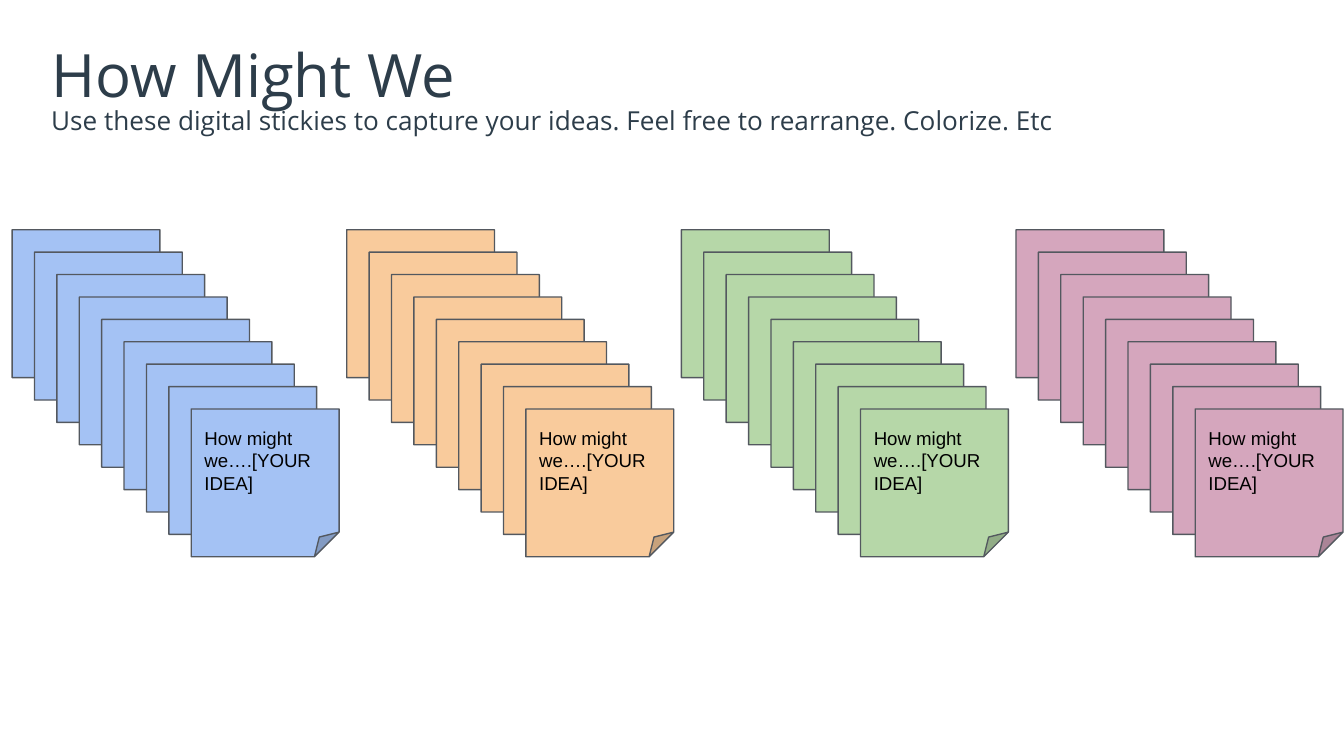
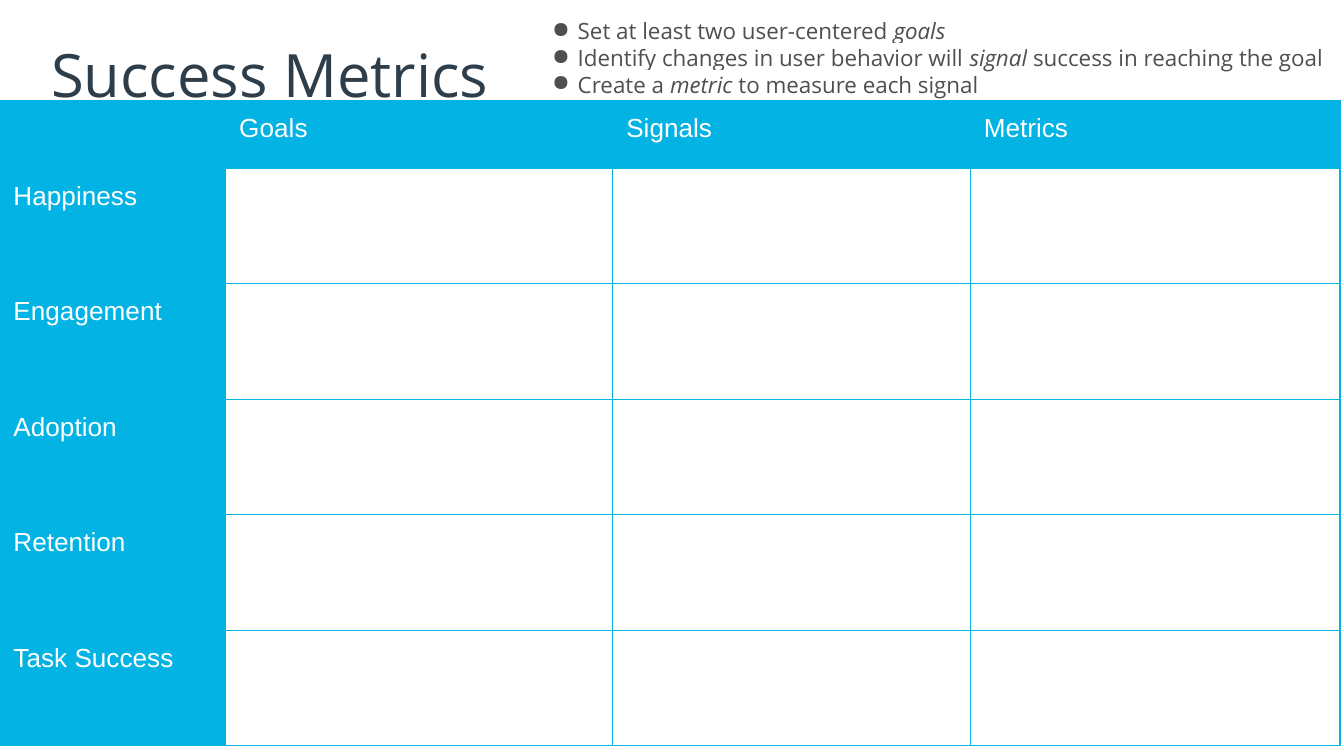
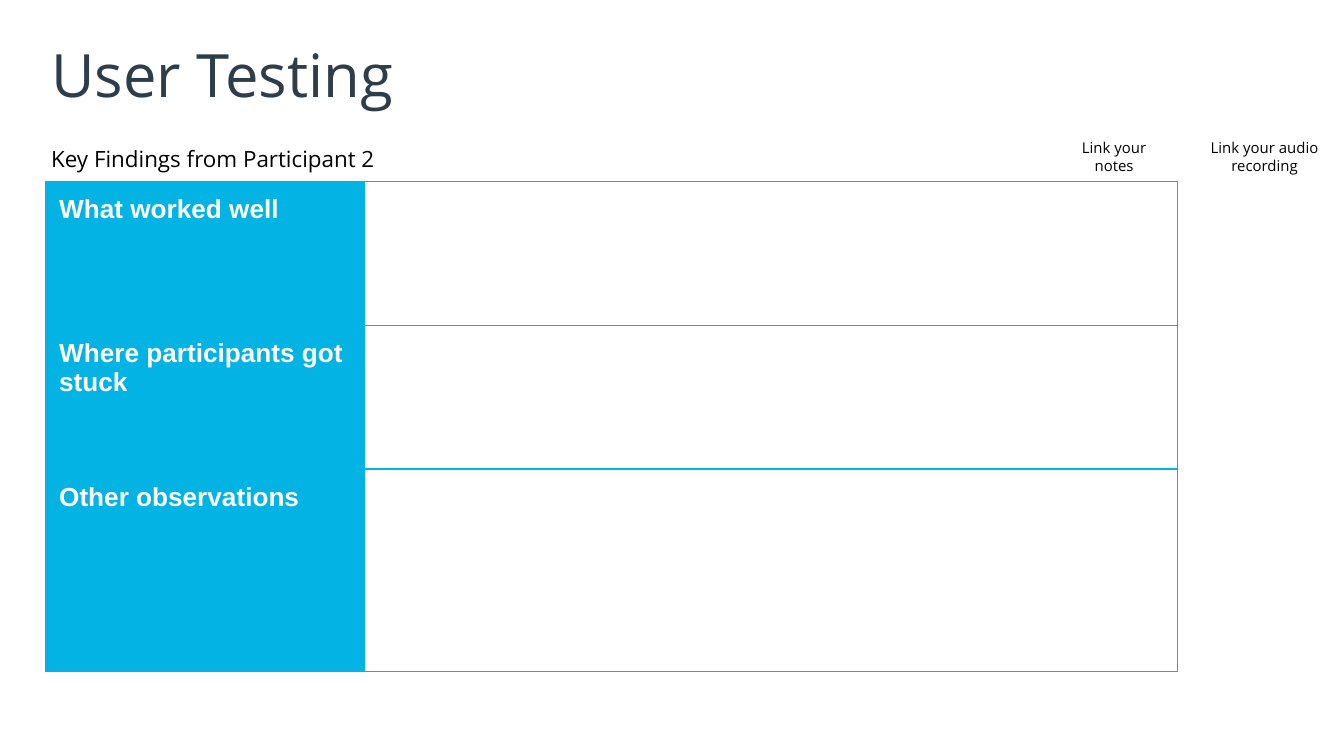
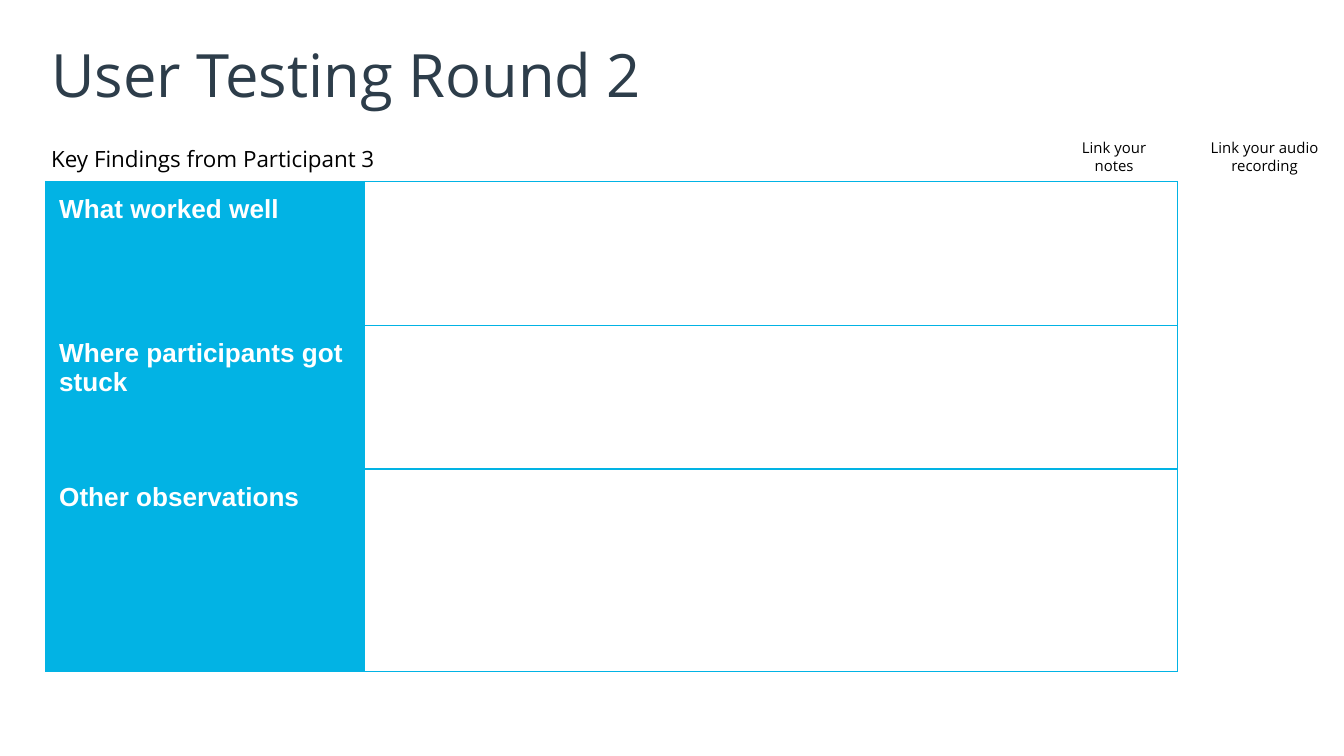
from dataclasses import dataclass

from lxml import etree
from pptx import Presentation
from pptx.dml.color import RGBColor
from pptx.enum.shapes import MSO_SHAPE
from pptx.enum.text import MSO_ANCHOR, PP_ALIGN
from pptx.oxml.ns import qn
from pptx.util import Inches, Pt

NOTE = MSO_SHAPE.FOLDED_CORNER
TOP, MIDDLE = MSO_ANCHOR.TOP, MSO_ANCHOR.MIDDLE
LEFT, CENTER = PP_ALIGN.LEFT, PP_ALIGN.CENTER


@dataclass(frozen=True)
class Theme:
    head: str = "Open Sans"
    body: str = "Arial"
    ink: str = "2D3D4A"
    grey: str = "4F4F4F"
    black: str = "000000"
    white: str = "FFFFFF"
    cyan: str = "02B3E4"
    edge: str = "53585F"
    title: int = 32
    lead: int = 14
    text: int = 12
    note: int = 10
    small: int = 8
    line: float = 0.75


T = Theme()

# Content
IDEAS = {
    "title": "How Might We",
    "lead": "Use these digital stickies to capture your ideas. "
            "Feel free to rearrange. Colorize. Etc",
    "note": "How might we….[YOUR IDEA]",
    "piles": ["A4C2F4", "F9CB9C", "B6D7A8", "D5A6BD"],
    "depth": 9,
}
METRICS = {
    "title": "Success Metrics",
    # Each bullet: plain text, italic word, plain text
    "tips": [
        ("Set at least two user-centered ", "goals", ""),
        ("Identify changes in user behavior will ", "signal",
         " success in reaching the goal"),
        ("Create a ", "metric", " to measure each signal"),
    ],
    "heads": ["", "Goals", "Signals", "Metrics"],
    "rows": ["Happiness", "Engagement", "Adoption", "Retention",
             "Task Success"],
}
TESTS = [
    ("User Testing", "Key Findings from Participant 2"),
    ("User Testing Round 2", "Key Findings from Participant 3"),
]
TOPICS = ["What worked well", "Where participants got stuck",
          "Other observations"]
LINKS = ["Link your\nnotes", "Link your audio recording"]

# Grid, in inches
WIDE, HIGH = 10, 5.625
EDGE = 0.34
FULL = WIDE - 2 * EDGE
PAD, SLIM = 0.1, 0.04


# Helpers
def rgb(code):
    return RGBColor.from_string(code)


def style(run, size, color, font=T.head, bold=False, italic=False):
    run.font.size = Pt(size)
    run.font.color.rgb = rgb(color)
    run.font.name = font
    run.font.bold = bold
    run.font.italic = italic


def inset(frame, pad):
    frame.margin_left = frame.margin_right = Inches(pad)
    frame.margin_top = frame.margin_bottom = Inches(pad)


def label(slide, box, text, size, color, pad=SLIM, align=LEFT, space=1):
    frame = slide.shapes.add_textbox(*map(Inches, box)).text_frame
    frame.word_wrap = True
    frame.vertical_anchor = TOP
    inset(frame, pad)
    frame.text = text
    for para in frame.paragraphs:
        para.alignment = align
        para.line_spacing = space
        for run in para.runs:
            style(run, size, color)
    return frame


def title(slide, text, width=FULL):
    label(slide, (EDGE, 0.24, width, 0.63), text, T.title, T.ink)


def sticky(slide, left, top, size, color, text=""):
    card = slide.shapes.add_shape(NOTE, *map(Inches, (left, top, size, size)))
    card.shadow.inherit = False
    card.fill.solid()
    card.fill.fore_color.rgb = rgb(color)
    card.line.color.rgb = rgb(T.edge)
    card.line.width = Pt(T.line)
    if text:
        frame = card.text_frame
        frame.word_wrap = True
        inset(frame, PAD)
        frame.margin_bottom = Inches(0.25)
        frame.vertical_anchor = MIDDLE
        frame.text = text
        frame.paragraphs[0].alignment = LEFT
        style(frame.paragraphs[0].runs[0], T.note, T.black, T.body)


def bullet(para):
    props = para._p.get_or_add_pPr()
    props.set("marL", str(Inches(0.19)))
    props.set("indent", str(Inches(-0.21)))
    tint = etree.SubElement(props, qn("a:buClr"))
    etree.SubElement(tint, qn("a:srgbClr"), val=T.grey)
    etree.SubElement(props, qn("a:buChar"), char="●")


def mark(run, color):
    fill = run._r.rPr.find(qn("a:solidFill"))
    glow = etree.Element(qn("a:highlight"))
    etree.SubElement(glow, qn("a:srgbClr"), val=color)
    fill.addnext(glow)


def border(cell):
    props = cell._tc.get_or_add_tcPr()
    for spot, side in enumerate(("lnL", "lnR", "lnT", "lnB")):
        line = etree.Element(qn("a:" + side), w=str(Pt(T.line)))
        fill = etree.SubElement(line, qn("a:solidFill"))
        etree.SubElement(fill, qn("a:srgbClr"), val=T.cyan)
        props.insert(spot, line)


def table(slide, left, top, cols, rows, data, heads=0, bold=False):
    """Draw a grid whose first column and first `heads` rows are cyan."""
    box = (left, top, sum(cols), sum(rows))
    grid = slide.shapes.add_table(
        len(rows), len(cols), *map(Inches, box)).table
    grid.first_row = grid.horz_banding = False
    for col, width in zip(grid.columns, cols):
        col.width = Inches(width)
    for row, height in zip(grid.rows, rows):
        row.height = Inches(height)
    for r, line in enumerate(data):
        for c, text in enumerate(line):
            cell = grid.cell(r, c)
            inset(cell, PAD)
            if r < heads or c == 0:
                cell.fill.solid()
                cell.fill.fore_color.rgb = rgb(T.cyan)
            else:
                cell.fill.background()
            border(cell)
            cell.text_frame.text = text
            for run in cell.text_frame.paragraphs[0].runs:
                style(run, T.lead, T.white, T.body, bold)


# Slides
def ideas(slide):
    title(slide, IDEAS["title"])
    size, step, gap = 1.1, 1 / 6, 2.49
    last = IDEAS["depth"] - 1
    for pile, color in enumerate(IDEAS["piles"]):
        for i in range(IDEAS["depth"]):
            sticky(slide, 0.09 + pile * gap + i * step, 1.71 + i * step,
                   size, color, IDEAS["note"] if i == last else "")
    label(slide, (EDGE, 0.74, FULL, 0.63), IDEAS["lead"], T.lead, T.ink)


def metrics(slide):
    title(slide, METRICS["title"], 3.35)
    data = [METRICS["heads"]]
    data += [[name, "", "", ""] for name in METRICS["rows"]]
    rows = [0.48] + [0.86] * len(METRICS["rows"])
    table(slide, 0, 0.75, [1.68, 2.88, 2.66, 2.75], rows, data, heads=1)

    tips = METRICS["tips"]
    text = "\n".join(tip[0] for tip in tips)
    frame = label(slide, (4.01, 0.03, 5.95, 0.73), text, T.text, T.grey, PAD)
    for para, tip in zip(frame.paragraphs, tips):
        bullet(para)
        for part in filter(None, tip[1:]):
            para.add_run().text = part
        for i, run in enumerate(para.runs):
            style(run, T.text, T.grey, italic=i == 1)
            mark(run, T.white)


def test(slide, name, lead):
    title(slide, name)
    label(slide, (EDGE, 1.01, FULL, 0.34), lead, T.text, T.black, space=1.15)
    for i, text in enumerate(LINKS):
        label(slide, (7.74 + i * 1.12, 0.93, 1.1, 0.48), text, T.small,
              T.black, PAD, CENTER)
    table(slide, EDGE, 1.35, [2.37, 6.05], [1.07, 1.07, 1.51],
          [[topic, ""] for topic in TOPICS], bold=True)


def main():
    deck = Presentation()
    deck.slide_width, deck.slide_height = Inches(WIDE), Inches(HIGH)
    blank = deck.slide_layouts[6]
    ideas(deck.slides.add_slide(blank))
    metrics(deck.slides.add_slide(blank))
    for name, lead in TESTS:
        test(deck.slides.add_slide(blank), name, lead)
    deck.save("out.pptx")


if __name__ == "__main__":
    main()
